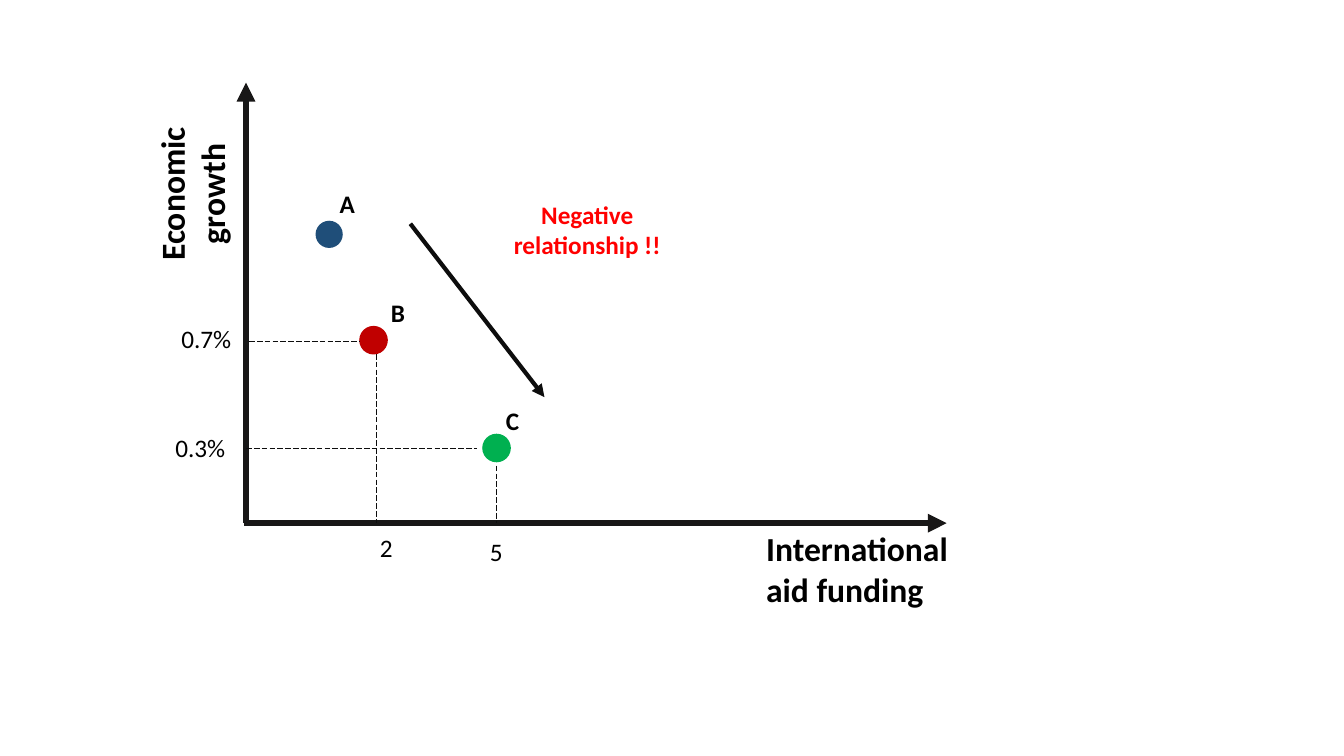
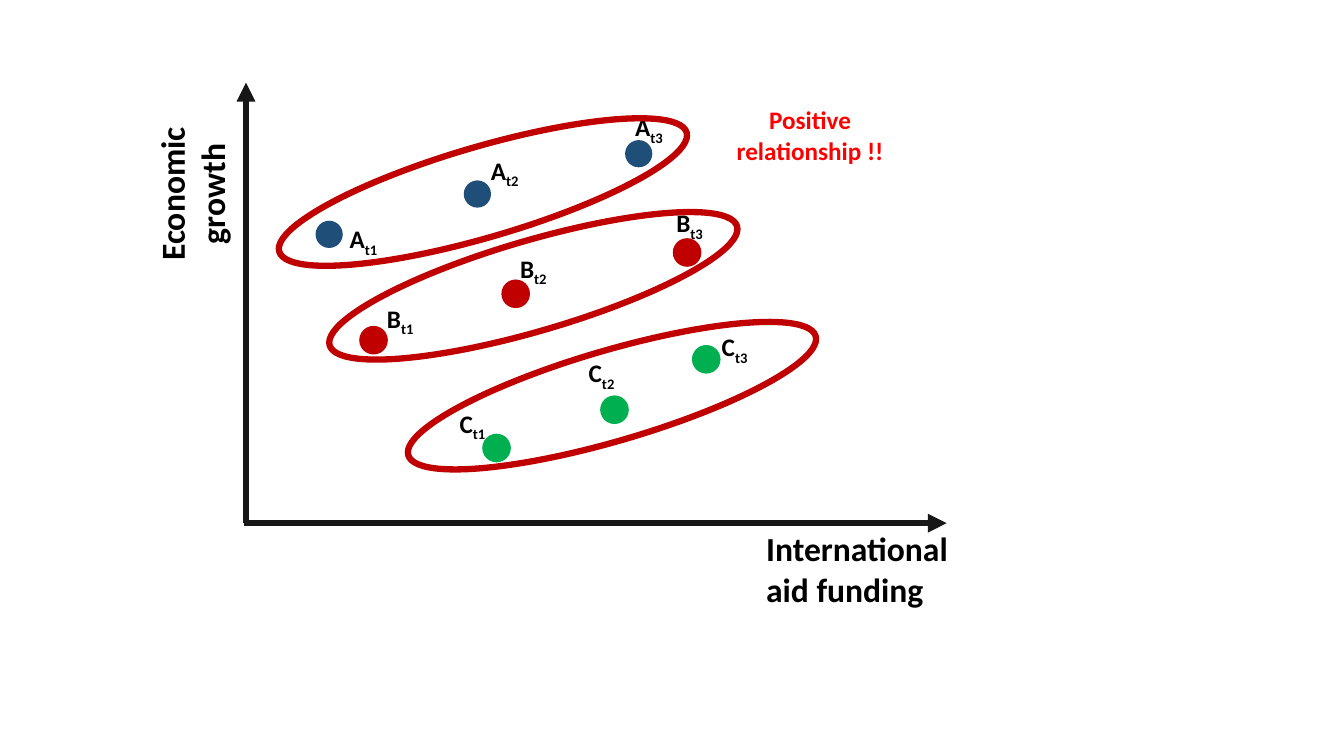
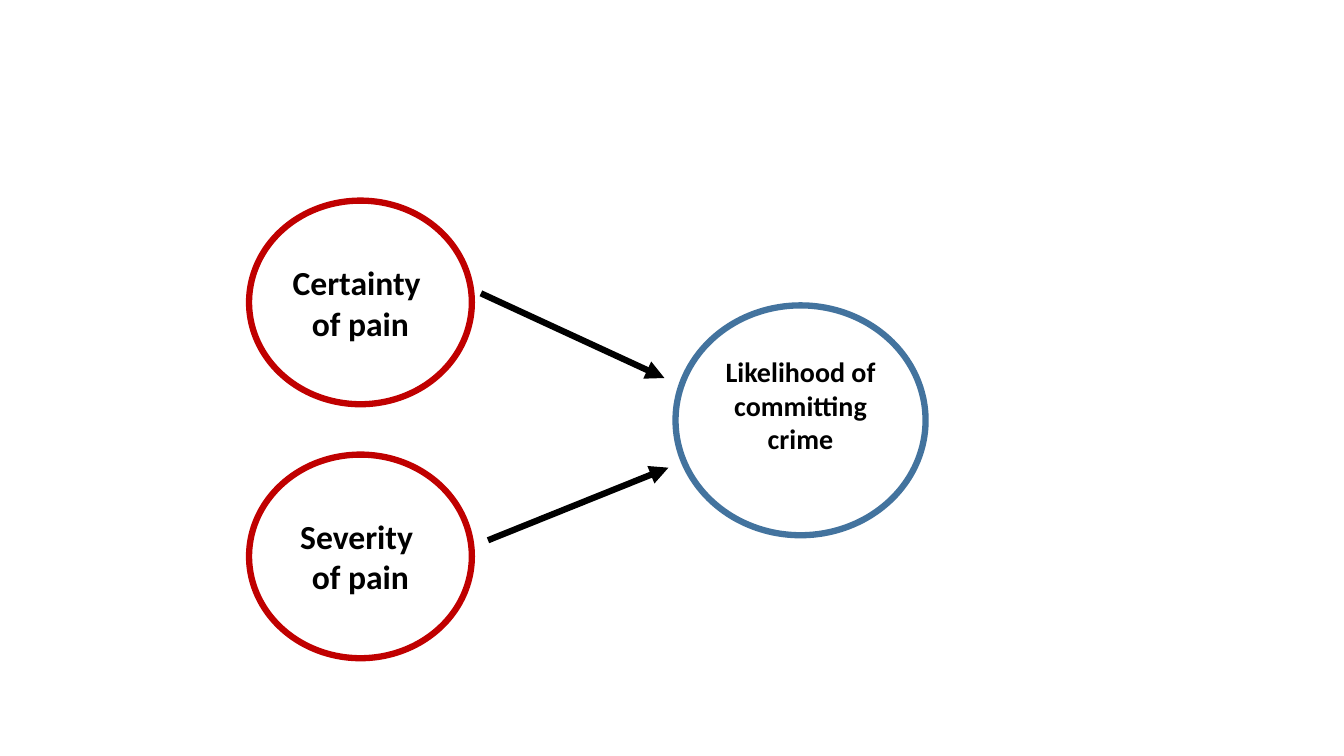
"""Builds two aid and growth scatter diagrams and a deterrence diagram."""
from lxml import etree
from pptx import Presentation
from pptx.dml.color import RGBColor
from pptx.enum.dml import MSO_LINE
from pptx.enum.shapes import MSO_CONNECTOR, MSO_SHAPE
from pptx.enum.text import MSO_ANCHOR, PP_ALIGN
from pptx.oxml.ns import qn
from pptx.util import Pt

PX = 9144
FONT = "Calibri"
OVAL = MSO_SHAPE.OVAL
STRAIGHT = MSO_CONNECTOR.STRAIGHT
LONG_DASH = MSO_LINE.LONG_DASH
MIDDLE = MSO_ANCHOR.MIDDLE
LEFT, CENTER = PP_ALIGN.LEFT, PP_ALIGN.CENTER

BLACK = RGBColor(0x00, 0x00, 0x00)
INK = RGBColor(0x0D, 0x0D, 0x0D)
AXIS = RGBColor(0x18, 0x17, 0x17)
NAVY = RGBColor(0x1F, 0x4E, 0x79)
STEEL = RGBColor(0x43, 0x73, 0x9E)
CRIMSON = RGBColor(0xC0, 0x00, 0x00)
GREEN = RGBColor(0x00, 0xB0, 0x50)
RED = RGBColor(0xFF, 0x00, 0x00)

DOT = 27
LABEL = (83, 40)
TICK = (71, 40)
NOTE = (181, 71)
RING = (90, 421)
RING_TURN = 253.7


def draw_line(page, ends, color, width, arrow=True):
    """Draw an arrow, or a dashed guide when arrow is false."""
    line = page.shapes.add_connector(STRAIGHT, *(v * PX for v in ends))
    line.line.color.rgb = color
    line.line.width = Pt(width)
    etree.SubElement(line._element.spPr, qn("a:effectLst"))
    if arrow:
        outline = line.line._get_or_add_ln()
        etree.SubElement(outline, qn("a:tailEnd"), type="triangle")
    else:
        line.line.dash_style = LONG_DASH


def write(shape, lines, size=18, color=BLACK, bold=True, align=LEFT, subscript=""):
    """Fill a shape with one paragraph of lines and an optional subscript."""
    shape.text_frame.word_wrap = True
    para = shape.text_frame.paragraphs[0]
    para.alignment = align
    spans = []
    for index, text in enumerate(lines):
        if index:
            para.add_line_break()
        spans.append(para.add_run())
        spans[-1].text = text
    if subscript:
        spans.append(para.add_run())
        spans[-1].text = subscript
        spans[-1]._r.get_or_add_rPr().set("baseline", "-25000")
    for span in spans:
        span.font.name = FONT
        span.font.size = Pt(size)
        span.font.bold = bold
        span.font.color.rgb = color


deck = Presentation()
deck.slide_width, deck.slide_height = 1333 * PX, 750 * PX
cross_page, time_page, crime_page = (
    deck.slides.add_slide(deck.slide_layouts[6]) for _ in range(3)
)

countries = [
    ("A", NAVY, [(313, 219), (460, 179), (620, 139)],
     (327, 182), [(337, 217), (477, 149), (620, 106)], (434, -20)),
    ("B", CRIMSON, [(357, 324), (498, 278), (668, 237)],
     (378, 290), [(374, 296), (506, 246), (661, 201)], (484, 73)),
    ("C", GREEN, [(479, 431), (596, 393), (687, 343)],
     (492, 397), [(446, 400), (574, 350), (706, 324)], (562, 182)),
]

for page in (cross_page, time_page):
    draw_line(page, (242, 519, 939, 519), AXIS, 4.5)
    draw_line(page, (244, 519, 244, 82), AXIS, 4.5)
    for text, box, align, turn in [
        ("International aid funding", (750, 519, 242, 91), LEFT, 0),
        ("Economic growth", (63, 147, 255, 91), CENTER, 270),
    ]:
        title = page.shapes.add_textbox(*(v * PX for v in box))
        title.rotation = turn
        write(title, [text], size=24, align=align)

    over_time = page is time_page
    for name, color, dots, single_label, time_labels, ring_corner in countries:
        labels = time_labels if over_time else [single_label]
        for period, (dot_corner, label_corner) in enumerate(zip(dots, labels), 1):
            dot = page.shapes.add_shape(OVAL, *(v * PX for v in (*dot_corner, DOT, DOT)))
            dot.shadow.inherit = False
            dot.fill.solid()
            dot.fill.fore_color.rgb = color
            if color == NAVY:
                dot.line.fill.background()
            else:
                dot.line.color.rgb = color
                dot.line.width = Pt(1)
            label = page.shapes.add_textbox(*(v * PX for v in (*label_corner, *LABEL)))
            write(label, [name], subscript=f"t{period}" if over_time else "")
        if over_time:
            ring = page.shapes.add_shape(OVAL, *(v * PX for v in (*ring_corner, *RING)))
            ring.rotation = RING_TURN
            ring.shadow.inherit = False
            ring.fill.background()
            ring.line.color.rgb = CRIMSON
            ring.line.width = Pt(4.5)

for page, corner, lines in [
    (cross_page, (492, 193), ["Negative relationship !!"]),
    (time_page, (713, 99), ["Positive", "relationship !!"]),
]:
    note = page.shapes.add_textbox(*(v * PX for v in (*corner, *NOTE)))
    write(note, lines, color=RED, align=CENTER)

draw_line(cross_page, (407, 222, 540, 394), INK, 3)
for guide in [
    (244, 445, 473, 445),
    (492, 462, 492, 519),
    (373, 351, 373, 519),
    (247, 339, 357, 339),
]:
    draw_line(cross_page, guide, INK, 0.5, arrow=False)
for text, corner in [
    ("5", (476, 527)),
    ("0.3%", (164, 424)),
    ("2", (367, 523)),
    ("0.7%", (170, 316)),
]:
    tick = cross_page.shapes.add_textbox(*(v * PX for v in (*corner, *TICK)))
    write(tick, [text], bold=False)

for lines, box, color, size, bottom_inset in [
    (["Certainty ", "of pain"], (247, 199, 221, 202), CRIMSON, 24, 5),
    (["Severity ", "of pain"], (247, 451, 221, 202), CRIMSON, 24, 5),
    (["Likelihood of committing crime"], (670, 303, 248, 228), STEEL, 20, 35),
]:
    factor = crime_page.shapes.add_shape(OVAL, *(v * PX for v in box))
    factor.shadow.inherit = False
    factor.fill.background()
    factor.line.color.rgb = color
    factor.line.width = Pt(4.5)
    factor.text_frame.vertical_anchor = MIDDLE
    factor.text_frame.margin_bottom = bottom_inset * PX
    write(factor, lines, size=size, align=CENTER)
for ends in [(477, 291, 659, 375), (484, 536, 663, 464)]:
    draw_line(crime_page, ends, BLACK, 4.5)

deck.save("out.pptx")
